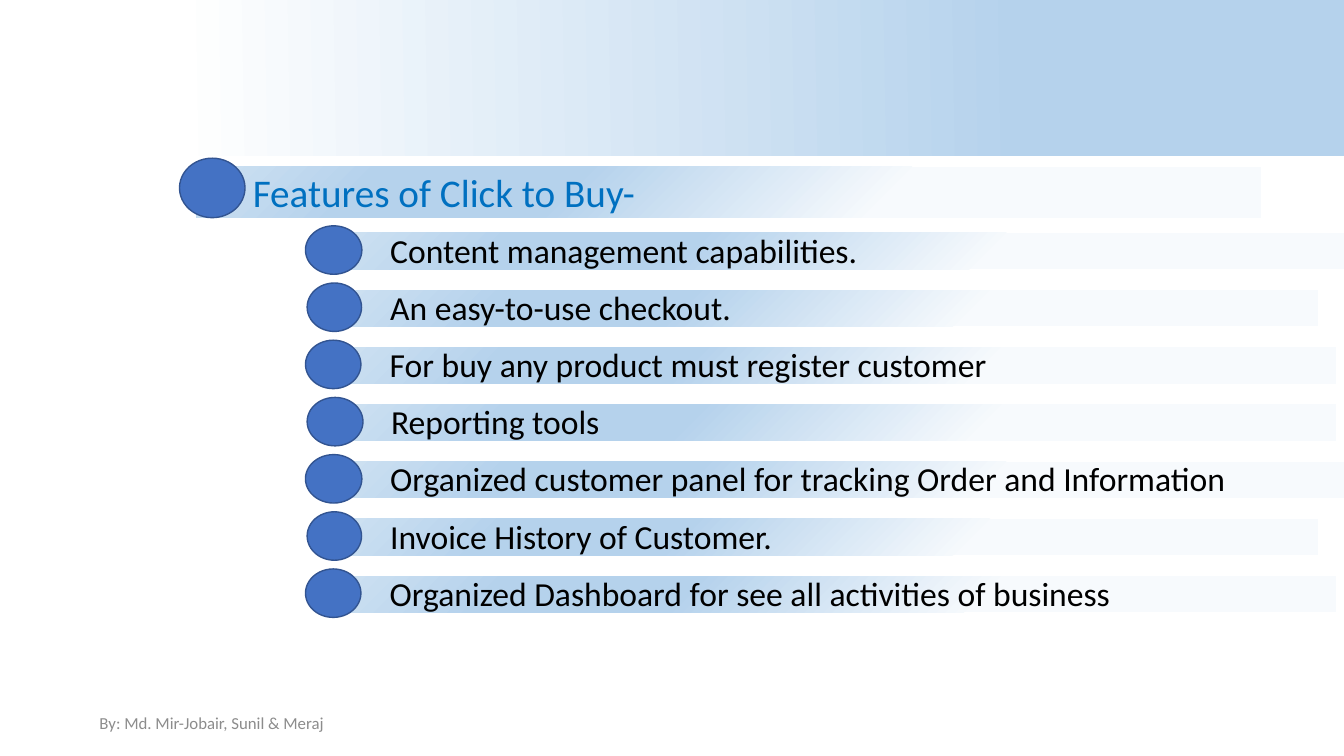
from dataclasses import dataclass

from lxml import etree
from pptx import Presentation
from pptx.dml.color import RGBColor
from pptx.enum import shapes, text
from pptx.oxml.ns import qn
from pptx.util import Pt

HUES = {
    "white": "FFFFFF", "pale": "F7FAFD", "sky": "B5D2EC", "mist": "CEE1F2",
    "dot": "4472C4", "edge": "325491", "title": "0070C0",
    "black": "000000", "gray": "8C8C8C",
}
FADE = [(13, "white"), (76, "sky"), (100, "sky"), (100, "mist")]
GLOW = [(35, "pale"), (65, "sky"), (83, "sky"), (100, "mist")]


@dataclass
class Box:
    left: float
    top: float
    width: float
    height: float

    def pts(self) -> list:
        return [Pt(n) for n in (self.left, self.top, self.width, self.height)]


@dataclass
class Item:
    words: str
    bar: Box
    label: Box
    dot: Box
    size: int = 24
    hue: str = "black"


def tint(name: str) -> RGBColor:
    return RGBColor.from_string(HUES[name])


def add_band(tree, box: Box, stops: list, angle: int, turn: int = 0) -> None:
    band = tree.add_shape(shapes.MSO_SHAPE.RECTANGLE, *box.pts())
    band.shadow.inherit = False
    band.rotation = turn
    band.line.fill.background()
    band.fill.gradient()
    props = band.element.spPr
    ramp = next(props.iter(qn("a:gsLst")))
    for old in list(ramp):
        ramp.remove(old)
    for spot, name in stops:
        stop = etree.SubElement(ramp, qn("a:gs"), pos=str(spot * 1000))
        etree.SubElement(stop, qn("a:srgbClr"), val=HUES[name])
    next(props.iter(qn("a:lin"))).set("ang", str(angle * 60000))


def add_label(tree, box: Box, words: str, size: int, hue: str):
    frame = tree.add_textbox(*box.pts()).text_frame
    frame.word_wrap = True
    line = frame.paragraphs[0]
    line.text = words
    line.font.name = "Calibri"
    line.font.size = Pt(size)
    line.font.color.rgb = tint(hue)
    return frame


def add_dot(tree, box: Box) -> None:
    dot = tree.add_shape(shapes.MSO_SHAPE.OVAL, *box.pts())
    dot.shadow.inherit = False
    dot.fill.solid()
    dot.fill.fore_color.rgb = tint("dot")
    dot.line.color.rgb = tint("edge")
    dot.line.width = Pt(1)


def add_item(slide, item: Item) -> None:
    tree = slide.shapes.add_group_shape().shapes
    add_band(tree, item.bar, GLOW, 45, 180)
    frame = add_label(tree, item.label, item.words, item.size, item.hue)
    frame.auto_size = text.MSO_AUTO_SIZE.SHAPE_TO_FIT_TEXT
    add_dot(tree, item.dot)


def make_row(rank: int, words: str, left: float, width: float,
             spot: float, span: float) -> Item:
    top = 166.3 + rank * 40.85
    return Item(words, Box(left, top, width, 26),
                Box(left + 30.6, top - 5.8, width - 44, 36),
                Box(spot, top - 5, span, 34.6))


# Feature text, bar left and width, dot left and width
ROWS = [
    ("Content management capabilities.", 241, 719, 218.2, 40.3),
    ("An easy-to-use checkout.", 241, 700.6, 219.4, 38.9),
    ("For buy any product must register customer", 240.7, 713.5, 218.2, 39.6),
    ("Reporting tools", 241.7, 712.8, 219.4, 39.9),
    ("Organized customer panel for tracking Order and Information",
     241, 719, 218.2, 40.3),
    ("Invoice History of Customer.", 241, 700.6, 219.4, 38.9),
    ("Organized Dashboard for see all activities of business",
     240.7, 713.5, 218.2, 39.6),
]
HEAD = Item("Features of Click to Buy-", Box(140.4, 119.2, 760.3, 36.4),
            Box(173.5, 116.6, 713.5, 41.2), Box(128.2, 113, 46.8, 42.5),
            28, "title")


def main() -> None:
    deck = Presentation()
    deck.slide_width, deck.slide_height = Pt(960), Pt(540)
    slide = deck.slides.add_slide(deck.slide_layouts[6])

    # Banner and footer
    add_band(slide.shapes, Box(0.7, 0, 959.3, 111), FADE, 359)
    foot = add_label(slide.shapes, Box(64, 502, 216, 28.75),
                     "By: Md. Mir-Jobair, Sunil & Meraj", 12, "gray")
    foot.vertical_anchor = text.MSO_ANCHOR.MIDDLE

    # Heading and feature list
    add_item(slide, HEAD)
    for rank, row in enumerate(ROWS):
        add_item(slide, make_row(rank, *row))

    deck.save("out.pptx")


if __name__ == "__main__":
    main()
